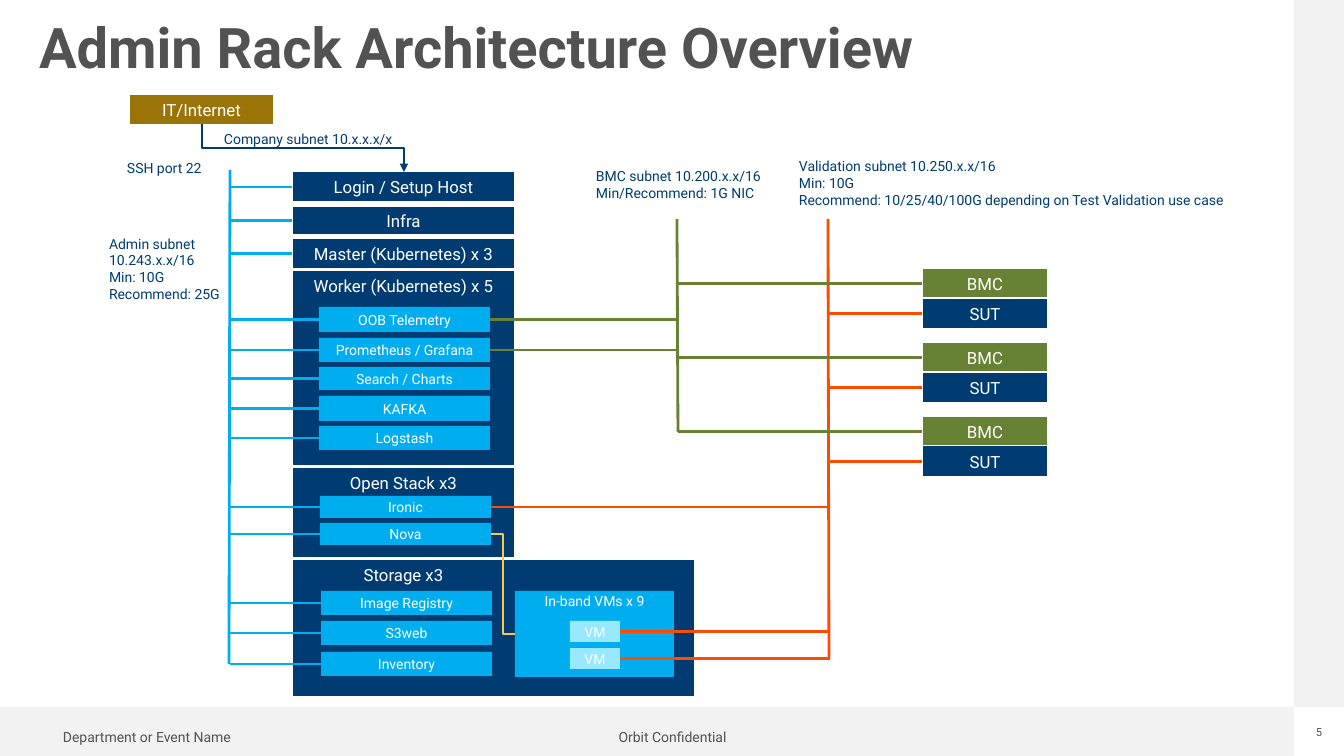
import pptx
import pptx.util
import pptx.dml.color
import pptx.enum.shapes
import pptx.enum.text
import pptx.oxml
import pptx.oxml.ns

NAVY, BLUE, ICE, GREEN = "003C71", "00AEEF", "98E9FF", "688235"
RED, GOLD, BROWN = "FC4C02", "F6CB4B", "997408"
WHITE, PALE, GREY = "FFFFFF", "F2F2F2", "525252"

BARS = [(0, 707, 1294, 49), (1294, 0, 50, 707)]
TIERS = [
    ("Login / Setup Host", 172, 223, 30),
    ("Infra", 206, 223, 29),
    ("Master (Kubernetes) x 3", 238, 223, 31),
    ("Worker (Kubernetes) x 5", 271, 223, 195),
    ("Open Stack x3", 468, 223, 90),
    ("Storage x3", 560, 403, 137),
]
TIER_X = 292
JOBS = [
    ("OOB Telemetry", 319, 307, 25),
    ("Prometheus / Grafana", 319, 338, 24),
    ("Search / Charts", 319, 367, 23),
    ("KAFKA", 319, 396, 25),
    ("Logstash", 319, 426, 24),
    ("Ironic", 320, 496, 22),
    ("Nova", 320, 523, 22),
    ("Image Registry", 321, 591, 24),
    ("S3web", 321, 621, 24),
    ("Inventory", 321, 652, 24),
]
JOB_W = 171
ADMIN_X, BMC_X, TEST_X = 230, 678, 828
BUSES = [
    (BLUE, ADMIN_X, 170, ADMIN_X - 1, 664),
    (RED, TEST_X, 219, TEST_X + 1, 658),
    (GREEN, BMC_X - 1, 219, BMC_X, 432),
]
RACKS = [("BMC", GREEN, 0, BMC_X), ("SUT", NAVY, 30, TEST_X)]
RACK_X, RACK_Y, RACK_W, RACK_H, RACK_STEP, RACK_NUM = 922, 268, 126, 31, 74, 3
VM_X, VM_Y, VM_W, VM_H, VM_STEP, VM_NUM = 570, 621, 50, 21, 27, 2
NOTES = [
    (["SSH port 22"], 127, 160, 78, 17),
    (["Company subnet 10.x.x.x/x"], 224, 131, 171, 17),
    (["Admin subnet", "10.243.x.x/16", "Min: 10G", "Recommend: 25G"], 109, 235, 114, 68),
    (["BMC subnet 10.200.x.x/16", "Min/Recommend: 1G NIC"], 596, 168, 168, 34),
    (["Validation subnet 10.250.x.x/16", "Min: 10G",
      "Recommend: 10/25/40/100G depending on Test Validation use case"], 799, 158, 439, 50),
]
FOOT = [
    ("Department or Event Name", 63, 724, 175, 25, 10, "LEFT"),
    ("Orbit Confidential", 607, 724, 131, 25, 10, "CENTER"),
    ("5", 1312, 726, 14, 13, 8, "CENTER"),
]

SCALE = 914400 / 100.8
KIND = pptx.enum.shapes.MSO_CONNECTOR
ANCHOR = pptx.enum.text.MSO_ANCHOR
ALIGN = pptx.enum.text.PP_ALIGN


def px(*nums):
    return [round(n * SCALE) for n in nums]


def tint(code):
    return pptx.dml.color.RGBColor.from_string(code)


def write(shape, text, size, color, align="CENTER", anchor="MIDDLE", bold=False, wrap=True):
    frame = shape.text_frame
    frame.text = text
    frame.word_wrap = wrap
    frame.vertical_anchor = ANCHOR[anchor]
    frame.margin_left = frame.margin_right = 0
    frame.margin_top = frame.margin_bottom = 0
    for para in frame.paragraphs:
        para.alignment = ALIGN[align]
        for run in para.runs:
            run.font.name = "Roboto"
            run.font.size = pptx.util.Pt(size)
            run.font.bold = bold
            run.font.color.rgb = tint(color)
    return frame


def box(area, fill, text="", size=10, edge=False, anchor="MIDDLE"):
    shape = slide.shapes.add_shape(pptx.enum.shapes.MSO_SHAPE.RECTANGLE, *px(*area))
    shape.shadow.inherit = False
    shape.fill.solid()
    shape.fill.fore_color.rgb = tint(fill)
    if edge:
        shape.line.color.rgb = tint(WHITE)
        shape.line.width = pptx.util.Pt(0.75)
    else:
        shape.line.fill.background()
    if text:
        write(shape, text, size, WHITE, anchor=anchor)
    return shape


def label(area, text, size, color, **style):
    return write(slide.shapes.add_textbox(*px(*area)), text, size, color, **style)


def wire(color, ends, kind=KIND.STRAIGHT):
    line = slide.shapes.add_connector(kind, *px(*ends))
    line.line.color.rgb = tint(color)
    line.line.width = pptx.util.Pt(2)
    line._element.spPr.append(pptx.oxml.parse_xml(
        "<a:effectLst %s/>" % pptx.oxml.ns.nsdecls("a")))
    return line


def link(shape, side, end_x, color):
    mid = (shape.top + shape.height / 2) / SCALE
    edge = (shape.left + (shape.width if side == 3 else 0)) / SCALE
    wire(color, (edge, mid, end_x, mid)).begin_connect(shape, side)


deck = pptx.Presentation()
deck.slide_width, deck.slide_height = px(1344, 756)
slide = deck.slides.add_slide(deck.slide_layouts[6])

for area in BARS:
    box(area, PALE)
for text, x, y, w, h, size, align in FOOT:
    label((x, y, w, h), text, size, GREY, align=align, wrap=False)
label((39, 20, 1214, 61), "Admin Rack Architecture Overview", 40, GREY,
      align="LEFT", bold=True).paragraphs[0].line_spacing = 0.9

for color, *ends in BUSES:
    wire(color, ends)

for text, y, w, h in TIERS:
    tall = h > 31
    tier = box((TIER_X, y, w, h), NAVY, text, 12, True, "TOP" if tall else "MIDDLE")
    if tall:
        tier.text_frame.margin_top = px(5)[0]
        tier.text_frame.margin_right = px(w - 223)[0]
    else:
        link(tier, 1, ADMIN_X, BLUE)

box((130, 95, 143, 29), BROWN, "IT/Internet", 12)
entry = wire(NAVY, (327, 47, 279, 249), KIND.ELBOW)
entry._element.spPr.find(pptx.oxml.ns.qn("a:xfrm")).set("rot", "16200000")
entry._element.spPr.find(pptx.oxml.ns.qn("a:ln")).append(pptx.oxml.parse_xml(
    '<a:tailEnd type="triangle" %s/>' % pptx.oxml.ns.nsdecls("a")))

jobs = {}
for text, x, y, h in JOBS:
    jobs[text] = box((x, y, JOB_W, h), BLUE, text)
    link(jobs[text], 1, ADMIN_X, BLUE)

guests = box((515, 591, 159, 86), BLUE, "In-band VMs x 9", anchor="TOP")
guests.text_frame.margin_top = px(2)[0]
for i in range(VM_NUM):
    guest = box((VM_X, VM_Y + i * VM_STEP, VM_W, VM_H), ICE, "VM")
    link(guest, 3, TEST_X + 2, RED)

wire(GOLD, (491, 534, 515, 634), KIND.ELBOW)
link(jobs["Ironic"], 3, TEST_X + 2, RED)
for text in ("OOB Telemetry", "Prometheus / Grafana"):
    link(jobs[text], 3, BMC_X, GREEN)

for i in range(RACK_NUM):
    for text, color, drop, bus in RACKS:
        unit = box((RACK_X, RACK_Y + i * RACK_STEP + drop, RACK_W, RACK_H), color, text, 12, True)
        link(unit, 1, bus, GREEN if text == "BMC" else RED)

for lines, *area in NOTES:
    label(area, "\n".join(lines), 10, NAVY, align="LEFT", anchor="TOP", wrap=False)

deck.save("out.pptx")
